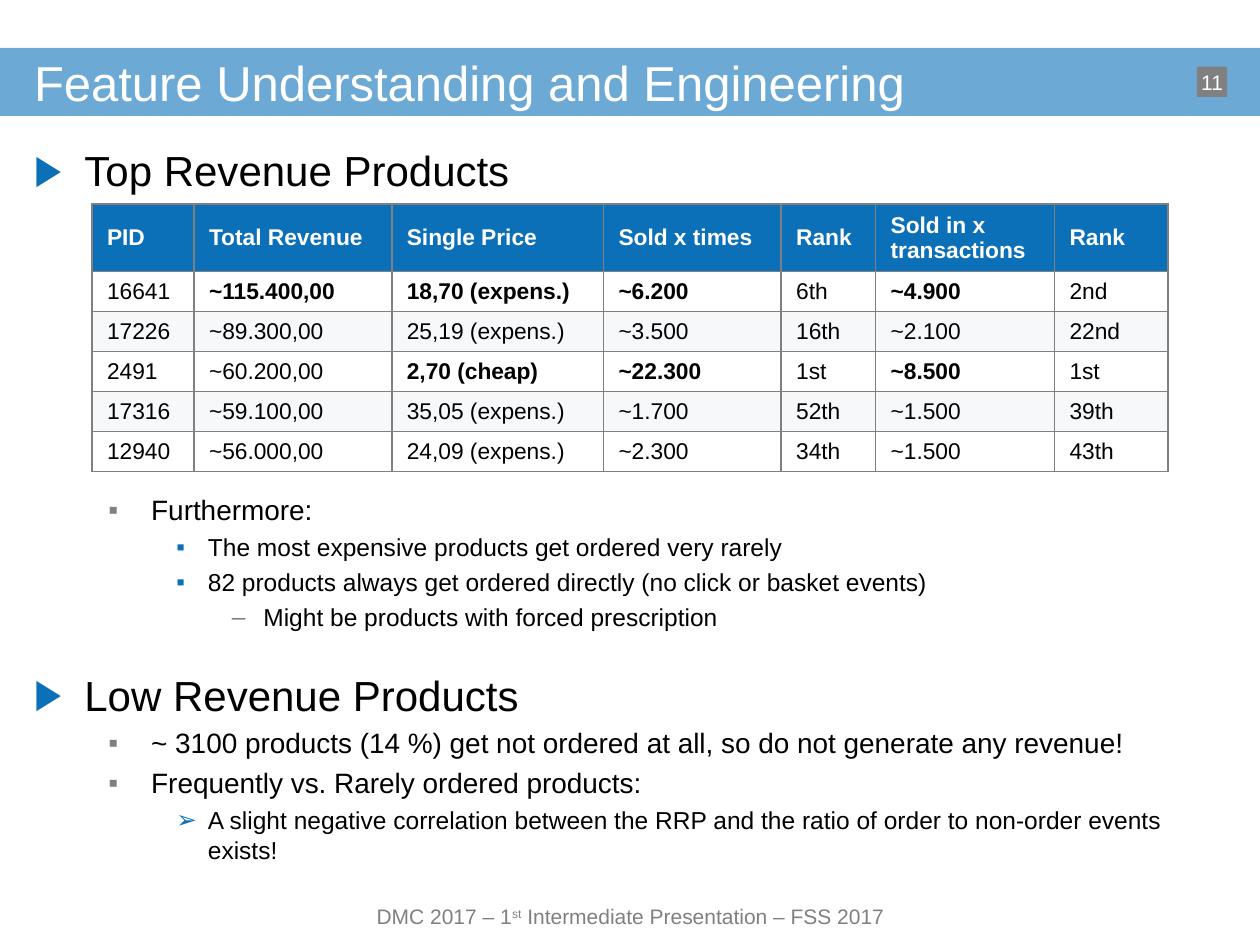
"""Build the slide on feature understanding with its revenue table and bullet lists."""
from dataclasses import dataclass

from lxml import etree
from pptx import Presentation
from pptx.dml.color import RGBColor
from pptx.enum.shapes import MSO_SHAPE
from pptx.enum.text import MSO_ANCHOR, PP_ALIGN
from pptx.oxml.ns import qn
from pptx.util import Inches, Pt

RECT = MSO_SHAPE.RECTANGLE
MIDDLE, TOP = MSO_ANCHOR.MIDDLE, MSO_ANCHOR.TOP
LEFT, CENTER = PP_ALIGN.LEFT, PP_ALIGN.CENTER


@dataclass(frozen=True)
class Theme:
    font: str = "Arial"
    blue: str = "0B70B8"
    gray: str = "808080"
    white: str = "FFFFFF"
    black: str = "000000"
    band: str = "F6F8FA"
    title: int = 28
    table: int = 13
    small: int = 12


THEME = Theme()

# Per list level: text size, text indent, hanging indent, bullet colour.
LEVELS = [
    (24, 0.4, 0.4, THEME.blue),
    (16, 0.93, 0.34, THEME.gray),
    (14, 1.38, 0.25, THEME.blue),
    (14, 1.82, 0.25, THEME.gray),
]
SPACE_RATIO = 0.23
TABLE_GAP = 170

COLUMNS = [0.81, 1.57, 1.68, 1.41, 0.75, 1.42, 0.9]
HEADER_HEIGHT, ROW_HEIGHT = 0.52, 0.31
ROWS = [
    ["PID", "Total Revenue", "Single Price", "Sold x times", "Rank",
     "Sold in x\ntransactions", "Rank"],
    ["16641", "~115.400,00", "18,70 (expens.)", "~6.200", "6th", "~4.900", "2nd"],
    ["17226", "~89.300,00", "25,19 (expens.)", "~3.500", "16th", "~2.100", "22nd"],
    ["2491", "~60.200,00", "2,70 (cheap)", "~22.300", "1st", "~8.500", "1st"],
    ["17316", "~59.100,00", "35,05 (expens.)", "~1.700", "52th", "~1.500", "39th"],
    ["12940", "~56.000,00", "24,09 (expens.)", "~2.300", "34th", "~1.500", "43th"],
]
BOLD_CELLS = {(1, 1), (1, 2), (1, 3), (1, 5), (3, 2), (3, 3), (3, 5)}

# Each item: level, bullet, text, optional space before in points.
TOP_REVENUE = [
    (0, "▶", "Top Revenue Products"),
    (1, "▪", "Furthermore:", TABLE_GAP),
    (2, "▪", "The most expensive products get ordered very rarely"),
    (2, "▪", "82 products always get ordered directly (no click or basket events)"),
    (3, "–", "Might be products with forced prescription"),
]
LOW_REVENUE = [
    (0, "▶", "Low Revenue Products"),
    (1, "▪", "~ 3100 products (14 %) get not ordered at all, so do not generate any revenue!"),
    (1, "▪", "Frequently vs. Rarely ordered products:"),
    (2, "➢", "A slight negative correlation between the RRP and the ratio of order "
             "to non-order events exists!"),
]


def rgb(color):
    return RGBColor.from_string(color)


def style_runs(p, size, color, bold=False):
    for r in p.runs:
        r.font.name = THEME.font
        r.font.size = Pt(size)
        r.font.bold = bold
        r.font.color.rgb = rgb(color)


def prepare_frame(tf, anchor, wrap=True):
    tf.margin_left = tf.margin_right = tf.margin_top = tf.margin_bottom = 0
    tf.vertical_anchor = anchor
    tf.word_wrap = wrap


def add_rect(slide, box, color, alpha=None):
    sp = slide.shapes.add_shape(RECT, *map(Inches, box))
    sp.shadow.inherit = False
    sp.line.fill.background()
    sp.fill.solid()
    sp.fill.fore_color.rgb = rgb(color)
    if alpha is not None:
        clr = sp.fill._xPr.find(qn("a:solidFill"))[0]
        etree.SubElement(clr, qn("a:alpha"), val=str(alpha * 1000))
    return sp


def add_text(slide, box, parts, size, color, align=LEFT):
    """Add one middle-anchored line made of (text, is_superscript) parts."""
    tf = slide.shapes.add_textbox(*map(Inches, box)).text_frame
    prepare_frame(tf, MIDDLE)
    p = tf.paragraphs[0]
    p.alignment = align
    for text, raised in parts:
        r = p.add_run()
        r.text = text
        if raised:
            r.font._element.set("baseline", "30000")
    style_runs(p, size, color)


def add_page_number(slide, box, number):
    sp = add_rect(slide, box, THEME.gray)
    tf = sp.text_frame
    prepare_frame(tf, MIDDLE, wrap=False)
    tf.text = number
    p = tf.paragraphs[0]
    p.alignment = CENTER
    style_runs(p, THEME.small, THEME.white)


def set_bullet(p, char, color, indent, hanging):
    pPr = p._p.get_or_add_pPr()
    pPr.set("marL", str(Inches(indent)))
    pPr.set("indent", str(-Inches(hanging)))
    clr = etree.SubElement(pPr, qn("a:buClr"))
    etree.SubElement(clr, qn("a:srgbClr"), val=color)
    etree.SubElement(pPr, qn("a:buFont"), typeface=THEME.font)
    etree.SubElement(pPr, qn("a:buChar"), char=char)


def add_bullets(slide, box, items):
    tf = slide.shapes.add_textbox(*map(Inches, box)).text_frame
    prepare_frame(tf, TOP)
    tf.text = "\n".join(item[2] for item in items)
    for p, (level, char, _, *gap) in zip(tf.paragraphs, items):
        size, indent, hanging, color = LEVELS[level]
        p.level = level
        p.space_before = Pt(gap[0] if gap else round(size * SPACE_RATIO, 1))
        set_bullet(p, char, color, indent, hanging)
        style_runs(p, size, THEME.black)


def set_borders(cell):
    tcPr = cell._tc.get_or_add_tcPr()
    for side in ("a:lnL", "a:lnR", "a:lnT", "a:lnB"):
        ln = etree.SubElement(tcPr, qn(side), w=str(Pt(1)))
        fill = etree.SubElement(ln, qn("a:solidFill"))
        etree.SubElement(fill, qn("a:srgbClr"), val=THEME.gray)


def fill_cell(cell, text, fill, color, bold):
    cell.margin_left = cell.margin_right = Inches(0.12)
    cell.margin_top = cell.margin_bottom = Inches(0.05)
    cell.vertical_anchor = MIDDLE
    set_borders(cell)
    cell.fill.solid()
    cell.fill.fore_color.rgb = rgb(fill)
    cell.text_frame.text = text
    for p in cell.text_frame.paragraphs:
        style_runs(p, THEME.table, color, bold)


def add_revenue_table(slide, left, top):
    heights = [HEADER_HEIGHT] + [ROW_HEIGHT] * (len(ROWS) - 1)
    box = (left, top, sum(COLUMNS), sum(heights))
    table = slide.shapes.add_table(len(ROWS), len(COLUMNS), *map(Inches, box)).table
    for column, width in zip(table.columns, COLUMNS):
        column.width = Inches(width)
    for i, (values, height) in enumerate(zip(ROWS, heights)):
        table.rows[i].height = Inches(height)
        header = i == 0
        fill = THEME.blue if header else THEME.white if i % 2 else THEME.band
        color = THEME.white if header else THEME.black
        for j, text in enumerate(values):
            fill_cell(table.cell(i, j), text, fill, color, header or (i, j) in BOLD_CELLS)


def main():
    prs = Presentation()
    prs.slide_width, prs.slide_height = Inches(10), Inches(7.5)
    slide = prs.slides.add_slide(prs.slide_layouts[6])
    add_rect(slide, (0, 0.38, 10, 0.54), THEME.blue, alpha=60)
    add_text(slide, (0.27, 0.38, 9.45, 0.54),
             [("Feature Understanding and Engineering", False)], THEME.title, THEME.white)
    add_text(slide, (2.64, 7.13, 4.73, 0.28),
             [("DMC 2017 – 1", False), ("st", True),
              (" Intermediate Presentation – FSS 2017", False)],
             THEME.small, THEME.gray, CENTER)
    add_page_number(slide, (9.5, 0.53, 0.24, 0.24), "11")
    add_bullets(slide, (0.27, 1.15, 9.45, 4.01), TOP_REVENUE)
    add_revenue_table(slide, 0.73, 1.62)
    add_bullets(slide, (0.27, 5.31, 9.45, 1.82), LOW_REVENUE)
    prs.save("out.pptx")


if __name__ == "__main__":
    main()
